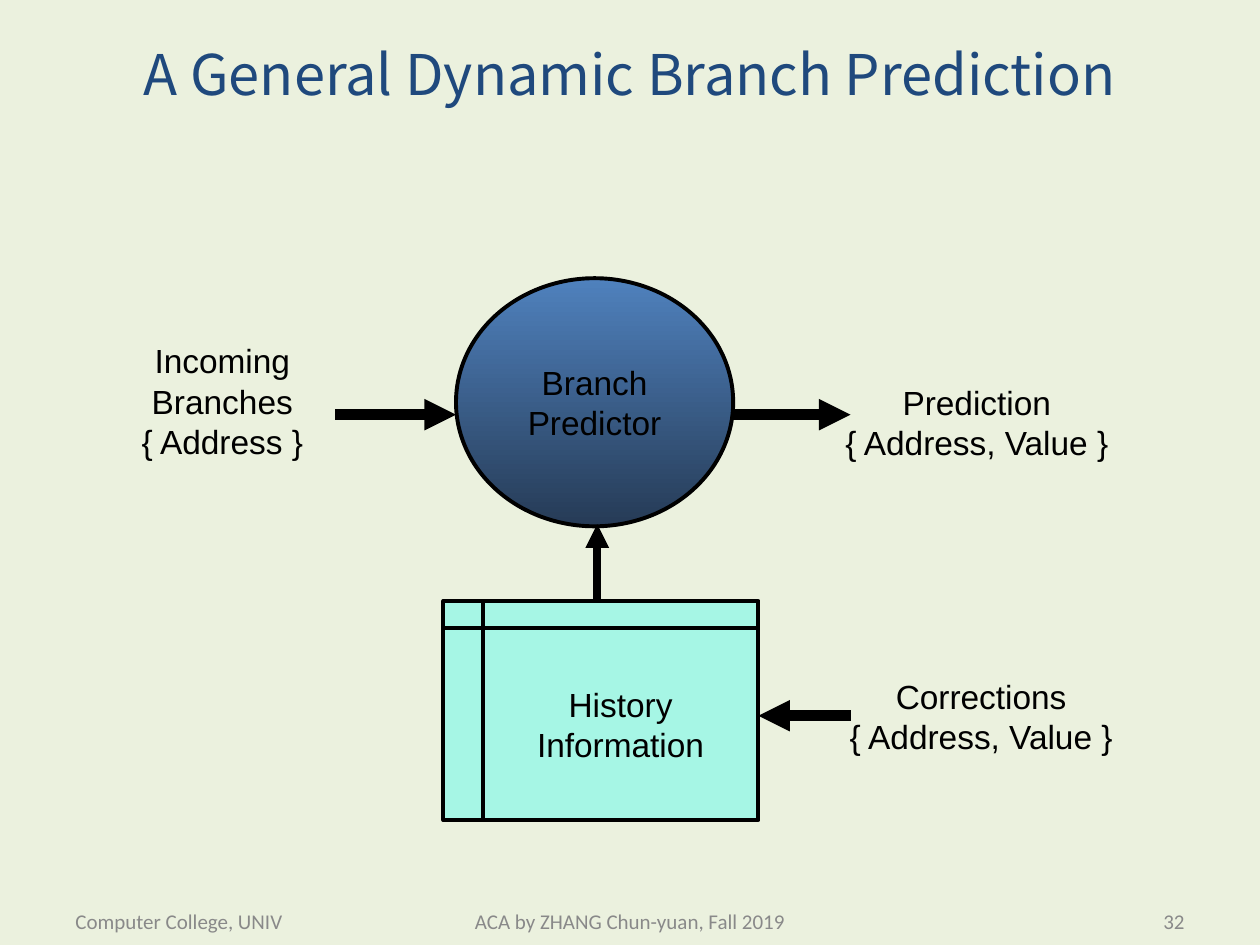
from dataclasses import dataclass
from lxml.etree import SubElement as Sub
from pptx import Presentation
from pptx.dml.color import RGBColor as RGB
from pptx.enum.shapes import MSO_CONNECTOR as Link, MSO_SHAPE as Kind
from pptx.enum.text import MSO_ANCHOR as Anchor, PP_ALIGN as Align
from pptx.oxml.ns import qn
from pptx.util import Pt


@dataclass(frozen=True)
class Theme:
    """Hold the colours, fonts and sizes of the slide."""
    back: str = "EBF1DE"
    ink: str = "000000"
    head: str = "1F497D"
    foot: str = "898989"
    mint: str = "A6F6E5"
    top: str = "4F81BD"
    low: str = "263B56"
    sans: str = "Arial"
    thin: str = "Calibri"
    wide: str = "Noto Sans CJK SC"
    big: float = 32
    mid: float = 19.1
    small: float = 12
    edge: float = 2.25


T = Theme()


def color(code):
    """Turn a hex code into a colour."""
    return RGB.from_string(code)


def write(shape, lines, face, size, code, align=Align.CENTER,
          anchor=Anchor.MIDDLE, wrap=True):
    """Fill a shape with one paragraph for each line."""
    frame = shape.text_frame
    frame.word_wrap = wrap
    frame.vertical_anchor = anchor
    for i, line in enumerate(lines):
        para = frame.add_paragraph() if i else frame.paragraphs[0]
        para.alignment = align
        run = para.add_run()
        run.text = line
        run.font.name = face
        run.font.size = Pt(size)
        run.font.color.rgb = color(code)


def node(group, kind, box, lines, wrap):
    """Add an outlined shape with a label."""
    shape = group.add_shape(kind, *map(Pt, box))
    shape.shadow.inherit = False
    shape.line.color.rgb = color(T.ink)
    shape.line.width = Pt(T.edge)
    write(shape, lines, T.sans, T.mid, T.ink, wrap=wrap)
    return shape


def label(group, box, lines, wrap=False):
    """Add a free label beside an arrow."""
    text = group.add_textbox(*map(Pt, box))
    write(text, lines, T.sans, T.mid, T.ink, anchor=Anchor.TOP, wrap=wrap)


def arrow(group, start, end, width):
    """Draw a straight arrow between two points."""
    line = group.add_connector(Link.STRAIGHT, *map(Pt, start + end))
    line.line.color.rgb = color(T.ink)
    line.line.width = Pt(width)
    Sub(line.line._get_or_add_ln(), qn("a:tailEnd"), type="triangle")
    Sub(line._element.spPr, qn("a:effectLst"))


def head(slide, box):
    """Place the slide title."""
    title = slide.shapes.title
    title.left, title.top, title.width, title.height = map(Pt, box)
    write(title, ["A General Dynamic Branch Prediction"],
          T.wide, T.big, T.head)


def flow(slide, box):
    """Place the predictor, its history, and their inputs and outputs."""
    x, y, w, h = box
    group = slide.shapes.add_group_shape().shapes
    left, right = x + 204.6, x + 363
    row, mid = y + 78, x + 285.3
    store = (x + 197.4, y + h - 125.3, 180, 125.3)
    far, fix = x + 430, y + 250
    pair = "{ Address, Value }"

    disc = node(group, Kind.OVAL, (left, y, right - left, 141.8),
                ["Branch", "Predictor"], False)
    disc.fill.gradient()
    disc.fill.gradient_angle = 270
    for stop, code in zip(disc.fill.gradient_stops, (T.top, T.low)):
        stop.color.rgb = color(code)
    cell = node(group, Kind.FLOWCHART_INTERNAL_STORAGE, store,
                ["History", "Information"], True)
    cell.fill.solid()
    cell.fill.fore_color.rgb = color(T.mint)

    label(group, (x, y + 32, 142, 76),
          ["Incoming Branches", "{ Address }"], True)
    label(group, (x + 419, y + 56, 166.3, 53), ["Prediction", pair])
    label(group, (x + 421.5, y + 224, 166.3, 53), ["Corrections", pair])

    arrow(group, (x + 135.5, row), (left, row), 6)
    arrow(group, (right, row), (far, row), 6)
    arrow(group, (far, fix), (store[0] + store[2], fix), 6)
    arrow(group, (mid, store[1]), (mid, y + 140.5), 4.5)


def foot(slide, box):
    """Place the three footer texts across the box."""
    x, y, w, h = box
    side, core = 168, 228
    parts = (
        (x, side, "Computer College, UNIV", Align.LEFT),
        (x + (w - core) / 2, core, "ACA by ZHANG Chun-yuan, Fall 2019",
         Align.CENTER),
        (x + w - side, side, "32", Align.RIGHT),
    )
    for left, width, words, align in parts:
        text = slide.shapes.add_textbox(Pt(left), Pt(y), Pt(width), Pt(h))
        write(text, [words], T.thin, T.small, T.foot, align)


def main():
    """Build the slide and save it."""
    deck = Presentation()
    deck.slide_width, deck.slide_height = Pt(720), Pt(540)
    slide = deck.slides.add_slide(deck.slide_layouts[5])
    slide.background.fill.solid()
    slide.background.fill.fore_color.rgb = color(T.back)
    head(slide, (36, 13.7, 648, 56))
    flow(slide, (56, 159, 588, 309.7))
    foot(slide, (36, 512, 648, 28.8))
    deck.save("out.pptx")


main()
